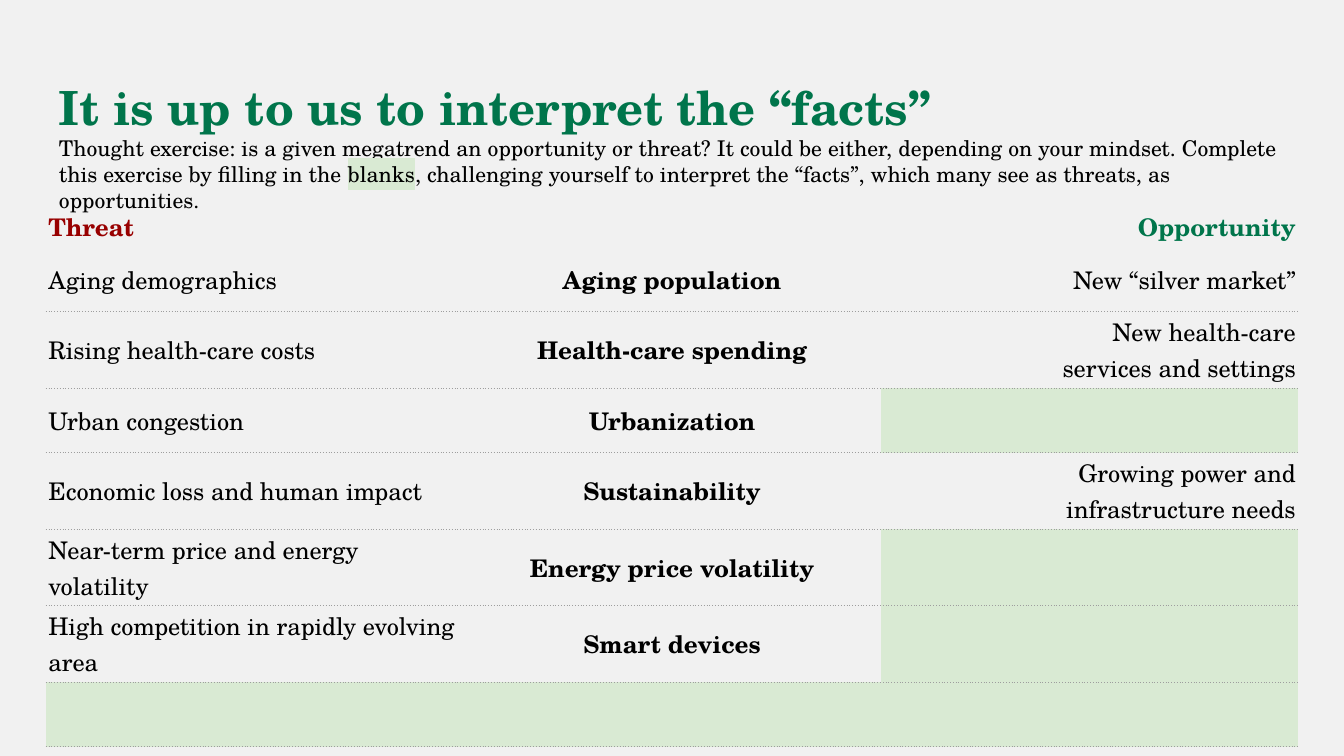
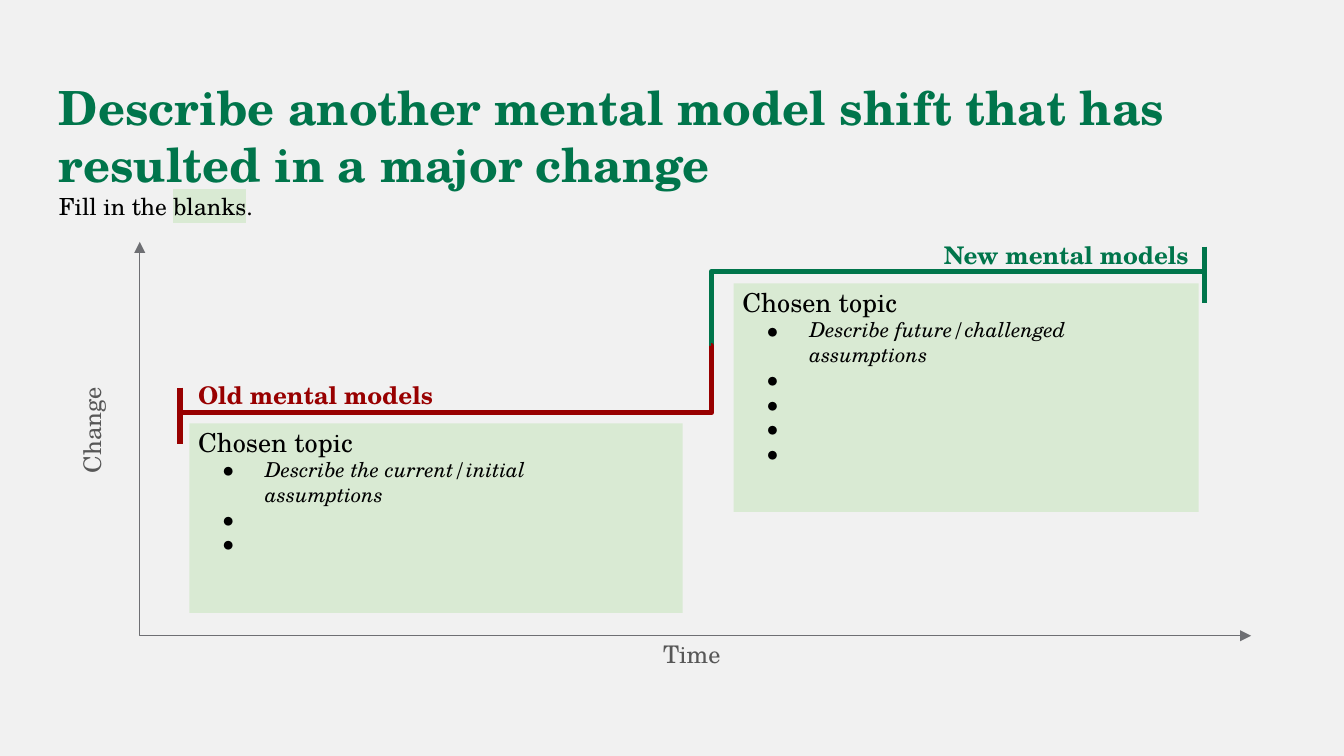
from lxml import etree
from pptx import Presentation
from pptx.dml.color import RGBColor
from pptx.enum.shapes import MSO_CONNECTOR, MSO_SHAPE
from pptx.enum.text import MSO_ANCHOR, PP_ALIGN
from pptx.oxml.ns import qn
from pptx.util import Pt

LEFT, CENTER, RIGHT = PP_ALIGN.LEFT, PP_ALIGN.CENTER, PP_ALIGN.RIGHT
TOP, MIDDLE = MSO_ANCHOR.TOP, MSO_ANCHOR.MIDDLE
STRAIGHT, ELBOW = MSO_CONNECTOR.STRAIGHT, MSO_CONNECTOR.ELBOW
RECT = MSO_SHAPE.RECTANGLE

FONT = "TeX Gyre Schola"
PAPER, GREEN, RED, BLACK = "F1F1F1", "00754B", "980000", "000000"
BLANK, AXIS, GREY, RULE = "D9EAD3", "6E6F73", "575757", "9E9E9E"
NO_STYLE = "{2D5ABB26-0587-4C30-8999-92F81FD0307C}"
TITLE_BOX = (24.5, 35, 671, 45.4)


# Shared helpers
def rgb(color):
    return RGBColor.from_string(color)


def sub(parent, tag, **attrs):
    return etree.SubElement(parent, qn(tag), attrs)


def add_run(p, text, size, color=BLACK, bold=False, italic=False, highlight=None):
    r = p.add_run()
    r.text = text
    f = r.font
    f.name, f.size, f.bold, f.italic = FONT, Pt(size), bold, italic
    f.color.rgb = rgb(color)
    if highlight:
        mark = etree.Element(qn("a:highlight"))
        sub(mark, "a:srgbClr", val=highlight)
        r._r.rPr.find(qn("a:solidFill")).addnext(mark)


def add_text(s, box, inset=(7.2, 7.2), anchor=TOP):
    sp = s.shapes.add_textbox(*map(Pt, box))
    tf = sp.text_frame
    tf.word_wrap = True
    tf.vertical_anchor = anchor
    tf.margin_left = tf.margin_right = Pt(inset[0])
    tf.margin_top = tf.margin_bottom = Pt(inset[1])
    return sp


def add_label(s, box, text, color, align, inset=(7.2, 3.6), anchor=TOP, bold=True):
    sp = add_text(s, box, inset, anchor)
    p = sp.text_frame.paragraphs[0]
    p.alignment, p.line_spacing = align, 0.96
    add_run(p, text, 13, color, bold)
    return sp


def add_line(s, kind, x1, y1, x2, y2, color, bend=None):
    c = s.shapes.add_connector(kind, Pt(x1), Pt(y1), Pt(x2), Pt(y2))
    c.line.color.rgb = rgb(color)
    c.line.width = Pt(3)
    spPr = c._element.spPr
    if bend is not None:
        geom = spPr.find(qn("a:prstGeom"))
        for old in geom.findall(qn("a:avLst")):
            geom.remove(old)
        sub(sub(geom, "a:avLst"), "a:gd", name="adj1", fmla=f"val {bend}")
    sub(spPr, "a:effectLst")


def add_slide(prs, title, size, intro):
    """Background, title and an intro whose middle part is highlighted."""
    s = prs.slides.add_slide(prs.slide_layouts[6])
    s.background.fill.solid()
    s.background.fill.fore_color.rgb = rgb(PAPER)
    tf = add_text(s, TITLE_BOX).text_frame
    add_run(tf.paragraphs[0], title, 25.2, GREEN, bold=True)
    p = tf.add_paragraph()
    for text, mark in zip(intro, (None, BLANK, None)):
        add_run(p, text, size, highlight=mark)
    return s


# Threat and opportunity table
TRENDS = [
    ("Threat", "", "Opportunity"),
    ("Aging demographics", "Aging population", "New “silver market”"),
    ("Rising health-care costs", "Health-care spending",
     "New health-care\nservices and settings"),
    ("Urban congestion", "Urbanization", ""),
    ("Economic loss and human impact", "Sustainability",
     "Growing power and\ninfrastructure needs"),
    ("Near-term price and energy volatility", "Energy price volatility", ""),
    ("High competition in rapidly evolving area", "Smart devices", ""),
    ("", "", ""),
]


def add_rule(cell, tag, position):
    ln = etree.Element(qn(tag), w=str(Pt(0.75)))
    sub(sub(ln, "a:solidFill"), "a:srgbClr", val=RULE)
    sub(ln, "a:prstDash", val="dot")
    cell._tc.get_or_add_tcPr().insert(position, ln)


def fill_cell(cell, text, row, col):
    header = row == 0
    cell.vertical_anchor = MIDDLE
    cell.margin_left = cell.margin_right = Pt(1.4)
    cell.margin_top = cell.margin_bottom = Pt(1.4)
    tf = cell.text_frame
    for i, line in enumerate(text.split("\n")):
        p = tf.add_paragraph() if i else tf.paragraphs[0]
        p.alignment = (LEFT, CENTER, RIGHT)[col]
        if line:
            color = (RED, BLACK, GREEN)[col] if header else BLACK
            add_run(p, line, 13, color, bold=header or col == 1)
        else:
            p._p.get_or_add_endParaRPr().set("sz", "1300")
    if text or header:
        cell.fill.background()
    else:
        cell.fill.solid()
        cell.fill.fore_color.rgb = rgb(BLANK)
    if not header:
        add_rule(cell, "a:lnB", 0)
    if row > 1:
        add_rule(cell, "a:lnT", 0)


def trend_table(s, x, y, w):
    rows, cols = len(TRENDS), len(TRENDS[0])
    frame = s.shapes.add_table(rows, cols, Pt(x), Pt(y), Pt(w), Pt(262))
    table = frame.table
    table.first_row = table.horz_banding = False
    table._tbl.tblPr.find(qn("a:tableStyleId")).text = NO_STYLE
    for column in table.columns:
        column.width = Pt(w / cols)
    for i, texts in enumerate(TRENDS):
        two_lines = any("\n" in t or len(t) > 32 for t in texts)
        table.rows[i].height = Pt(41 if two_lines else 34.6 if i else 22.2)
        for j, text in enumerate(texts):
            fill_cell(table.cell(i, j), text, i, j)


# Mental model chart
def axes(s, x, y, w, h):
    fb = s.shapes.build_freeform(Pt(x), Pt(y))
    fb.add_line_segments([(Pt(x), Pt(y + h)), (Pt(x + w), Pt(y + h))], close=False)
    sp = fb.convert_to_shape()
    sp.shadow.inherit = False
    sp.fill.background()
    sp.line.color.rgb = rgb(AXIS)
    sp.line.width = Pt(0.75)
    ln = sp.line._get_or_add_ln()
    for end in ("a:headEnd", "a:tailEnd"):
        sub(ln, end, type="triangle")
    # Axis names
    plain = dict(color=GREY, align=RIGHT, inset=(0, 0), anchor=MIDDLE, bold=False)
    change = add_label(s, (x - 55.5, y + 100.8, 60.5, 15), "Change", **plain)
    change.rotation = 270
    add_label(s, (x + 259.2, y + h + 2.9, 51.8, 15), "Time", **plain)


def model(s, box, name, color, align, prompt, blanks):
    """Fill-in panel with its name above and its bullets inside."""
    x, y, w, h = box
    sp = s.shapes.add_shape(RECT, *map(Pt, box))
    sp.shadow.inherit = False
    sp.fill.solid()
    sp.fill.fore_color.rgb = rgb(BLANK)
    sp.line.fill.background()
    add_label(s, (x - 2.5, y - 25.5, w + 4, 20), name, color, align)
    tf = add_text(s, (x - 2.5, y - 5.8, 252, h - 20)).text_frame
    add_run(tf.paragraphs[0], "Chosen topic", 14)
    for text in [prompt] + [" "] * blanks:
        p = tf.add_paragraph()
        pPr = p._p.get_or_add_pPr()
        pPr.set("marL", str(Pt(36)))
        pPr.set("indent", str(-Pt(23.8)))
        sub(sub(pPr, "a:buClr"), "a:srgbClr", val=BLACK)
        sub(pPr, "a:buSzPts", val="1100")
        sub(pPr, "a:buFont", typeface=FONT)
        sub(pPr, "a:buChar", char="●")
        add_run(p, text, 11, italic=True)


def step_line(s, start, end, cap, color, bend):
    """Bent step with a vertical cap at its outer end."""
    cap_x, cap_y = cap
    add_line(s, STRAIGHT, cap_x, cap_y - 13.3, cap_x, cap_y + 17, color)
    add_line(s, ELBOW, *start, *end, color, bend)


def mental_models(s, x, y, w, h):
    old = (x + 26.6, y + 97.2, 264.2, 101.5)
    new = (x + 318.2, y + 22.3, 249.1, 122.4)
    riser, old_y, new_y = x + 306, old[1] - 5.8, new[1] - 6.4
    middle = (old_y + new_y) / 2 + 4
    old_cap, new_cap = (old[0] - 5, old_y), (new[0] + new[2] + 3, new_y)
    axes(s, x, y, w, h)
    model(s, old, "Old mental models", RED, LEFT,
          "Describe the current/initial assumptions", 2)
    model(s, new, "New mental models", GREEN, RIGHT,
          "Describe future/challenged assumptions", 4)
    step_line(s, (riser, middle + 2), new_cap, new_cap, GREEN, 100)
    step_line(s, old_cap, (riser, middle - 2), old_cap, RED, 100100)


def main():
    prs = Presentation()
    prs.slide_width, prs.slide_height = Pt(720), Pt(405)
    s = add_slide(prs, "It is up to us to interpret the “facts”", 11.6, (
        "Thought exercise: is a given megatrend an opportunity or threat? It could be "
        "either, depending on your mindset. Complete this exercise by filling in the ",
        "blanks",
        ", challenging yourself to interpret the “facts”, which many see as threats, "
        "as opportunities."))
    trend_table(s, 24.5, 110.2, 671)

    s = add_slide(
        prs, "Describe another mental model shift that has resulted in a major change",
        12.6, ("Fill in the ", "blanks", "."))
    mental_models(s, 74.9, 129.6, 595.4, 211)
    prs.save("out.pptx")


if __name__ == "__main__":
    main()
